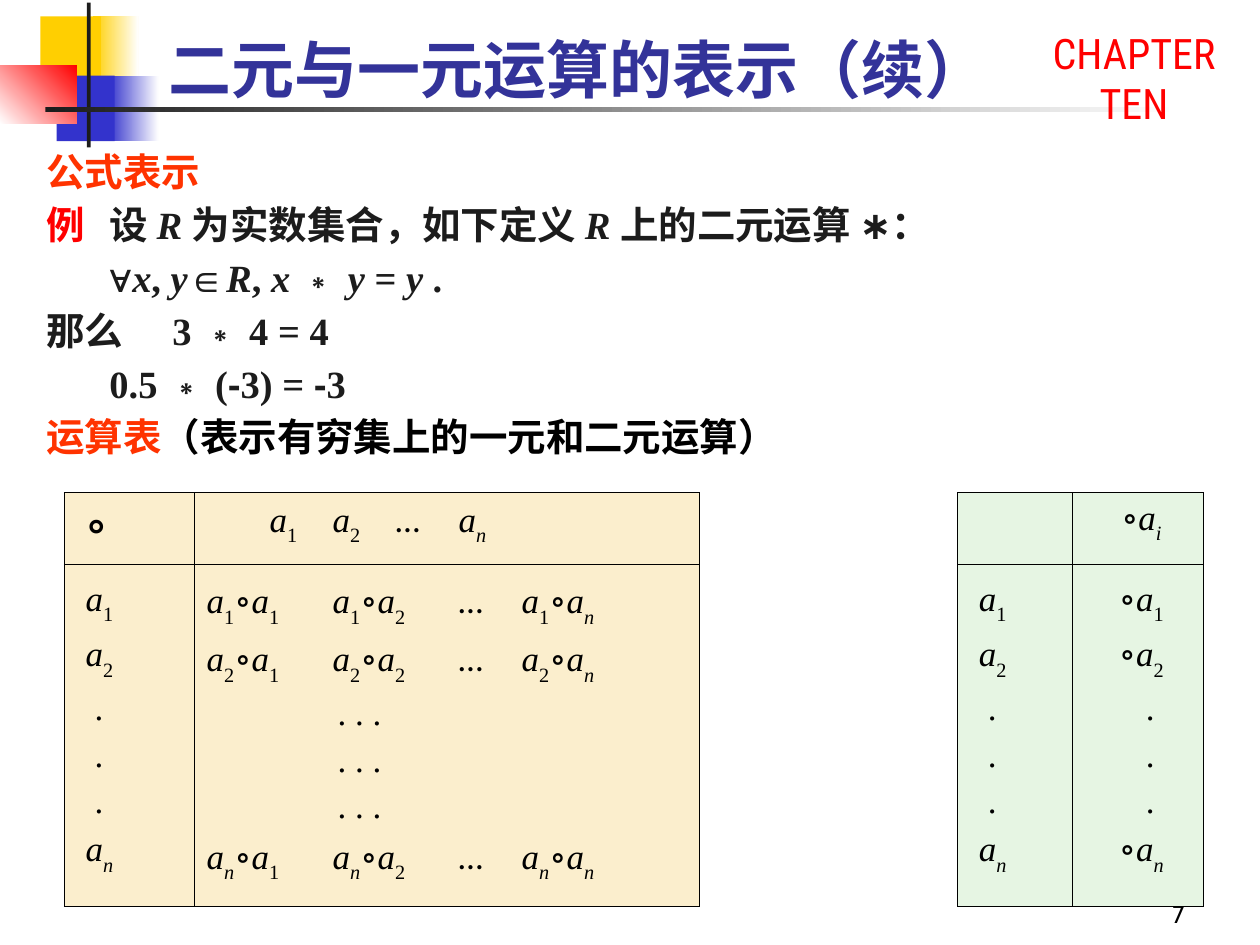
from itertools import groupby

from lxml.etree import SubElement as Sub
from pptx import Presentation
from pptx.dml.color import RGBColor as RGB
from pptx.enum.shapes import MSO_SHAPE as Kind
from pptx.enum.text import MSO_ANCHOR as Anchor, PP_ALIGN as Align
from pptx.oxml.ns import qn
from pptx.util import Inches, Pt

SERIF = "Times New Roman"
INK, BLACK, RED, ORANGE = "1C1C1C", "000000", "FF0000", "FF3300"
GOLD, BLUE, WHITE = "FFCF01", "3333CC", "FFFFFF"
CREAM, MINT = "FBEECD", "E6F5E3"


def color(code):
    return RGB.from_string(code)


def split(text, fonts):
    """Yield runs of a formula: letters slant, marks after an a sink."""
    def style(pair):
        last, char = pair
        slant = char.isascii() and char.isalpha()
        sunk = last == "a" and char.isalnum()
        return slant, sunk, fonts.get(char, SERIF)

    for key, group in groupby(zip(" " + text, text), style):
        yield "".join(char for _, char in group), key


def write(frame, parts, first=False, size=20, font=SERIF, bold=False,
          align=Align.LEFT, space=1, tabs=(), indent=0, fonts=None):
    """Add a paragraph of (text, colour) parts; fonts marks a formula."""
    para = frame.paragraphs[0] if first else frame.add_paragraph()
    para.alignment, para.line_spacing = align, space
    props = para._p.get_or_add_pPr()
    props.set("marL", str(Inches(indent)))
    props.set("indent", "0")
    if tabs:
        stops = Sub(props, qn("a:tabLst"))
        for pos in tabs:
            Sub(stops, qn("a:tab"), pos=str(Inches(pos)), algn="l")
    for text, code in parts:
        plain = [(text, (False, False, font))]
        for piece, (slant, sunk, face) in (
                plain if fonts is None else split(text, fonts)):
            run = para.add_run()
            run.text = piece
            run.font.size, run.font.name = Pt(size), face
            run.font.bold, run.font.italic = bold, slant
            run.font.color.rgb = color(code)
            if sunk:
                run.font._element.set("baseline", "-30000")


def add_box(slide, box, anchor=Anchor.TOP):
    frame = slide.shapes.add_textbox(*map(Inches, box)).text_frame
    frame.word_wrap, frame.vertical_anchor = True, anchor
    return frame


def add_bar(slide, box, start, end=None, angle=0):
    bar = slide.shapes.add_shape(Kind.RECTANGLE, *map(Inches, box))
    bar.shadow.inherit = False
    bar.line.fill.background()
    if end is None:
        bar.fill.solid()
        bar.fill.fore_color.rgb = color(start)
        return
    bar.fill.gradient()
    bar.fill.gradient_angle = angle
    for stop, code, pos in zip(bar.fill.gradient_stops, (start, end), (0, 1)):
        stop.color.rgb, stop.position = color(code), pos


def add_decor(slide, x, y):
    """Coloured squares with the crossing rules."""
    for left, top, wide, high, *paint in (
            (0.74, 0.11, 0.36, 0.52, GOLD, WHITE),
            (0.86, 0.58, 0.4, 0.52, BLUE, WHITE),
            (0.32, 0.11, 0.48, 0.52, GOLD),
            (0.45, 0.58, 0.46, 0.52, BLUE),
            (0, 0.5, 0.61, 0.46, WHITE, RED, 45),
            (0.69, 0, 0.03, 1.15, INK),
            (0.36, 0.83, 9, 0.04, INK, WHITE)):
        add_bar(slide, (x + left, y + top, wide, high), *paint)


def add_body(slide, box):
    """Formula notation with its example."""
    frame = add_box(slide, box)
    lines = (
        ([("公式表示", ORANGE)], ()),
        ([("例", RED), ("\t设 R 为实数集合，如下定义 R 上的二元运算 ∗：", INK)], [0.59]),
        ([("\t∀x, y∈R, x ∗ y = y .", INK)], [1.15]),
        ([("那么\t3 ∗ 4 = 4", INK)], [1.24]),
        ([("\t0.5 ∗ (-3) = -3", INK)], [1.22]),
        ([("运算表", ORANGE), ("（表示有穷集上的一元和二元运算）", BLACK)], ()))
    for num, (parts, tabs) in enumerate(lines):
        write(frame, parts, num == 0, size=22, bold=True, space=1.15,
              tabs=tabs, fonts={"∀": "Arial", "-": "Arial"})


def edge(cell, sides, shown):
    props = cell._tc.get_or_add_tcPr()
    for num, side in enumerate(sides):
        line = props.makeelement(qn("a:ln" + side), {"w": str(Pt(0.45))})
        props.insert(num, line)
        if side in shown:
            fill = Sub(line, qn("a:solidFill"))
            Sub(fill, qn("a:srgbClr"), val=BLACK)
        else:
            Sub(line, qn("a:noFill"))


def fill_cell(cell, lines, **style):
    for num, (text, extra) in enumerate(lines):
        write(cell.text_frame, [(text, BLACK)], num == 0,
              fonts={"…": "Calibri"}, **{**style, **extra})


def add_tables(slide, box):
    """Binary and unary operation tables, with a clear gap between."""
    cols, rows = (1.03, 4.01, 2.05, 0.91, 1.04), (0.57, 2.71)
    frame = slide.shapes.add_table(2, 5, *map(Inches, box))
    grid = frame.table
    grid.first_row = grid.horz_banding = False
    for col, wide in zip(grid.columns, cols):
        col.width = Inches(wide)
    for row, high in zip(grid.rows, rows):
        row.height = Inches(high)
    for row in range(2):
        for col, paint in enumerate((CREAM, CREAM, None, MINT, MINT)):
            cell = grid.cell(row, col)
            if paint:
                cell.fill.solid()
                cell.fill.fore_color.rgb = color(paint)
            else:
                cell.fill.background()
            edge(cell, "LRTB", "LRTB" if paint else "LR")
    grid.cell(0, 2).merge(grid.cell(1, 2))

    # Heads
    fill_cell(grid.cell(0, 0), [("∘", {})], size=28, indent=0.06)
    fill_cell(grid.cell(0, 1), [("\ta1\ta2\t…\tan", {})],
              tabs=(0.14, 1.06, 1.83, 2.59))
    fill_cell(grid.cell(0, 4), [("∘ai", {})], align=Align.CENTER, indent=0.06)

    # Bodies: first, second and last rows around three rows of dots
    def fill_rows(col, form, dots, shift, indent=0, **style):
        dot = (dots, {"indent": shift})
        ends = [(form.replace("k", mark), {"indent": indent}) for mark in "12n"]
        fill_cell(grid.cell(1, col), ends[:2] + [dot] * 3 + ends[2:],
                  space=1.2, **style)

    for col in (0, 3):
        fill_rows(col, "ak", ".", 0.14, 0.07)
    fill_rows(1, "ak∘a1\tak∘a2\t…\tak∘an", ". . .", 1.04,
              tabs=(0.93, 1.78, 2.33))
    fill_rows(4, "∘ak", ".", 0.2, 0.06, align=Align.CENTER)


def main():
    deck = Presentation()
    deck.slide_width, deck.slide_height = Inches(10), Inches(7.5)
    slide = deck.slides.add_slide(deck.slide_layouts[6])
    add_decor(slide, 0, 0.02)
    # Chapter mark, page number and title
    write(add_box(slide, (8, 0.17, 2, 0.9)), [("CHAPTER TEN", RED)], True,
          size=24, font="Roboto Condensed", align=Align.CENTER)
    write(add_box(slide, (7.42, 6.92, 2.08, 0.5), Anchor.BOTTOM),
          [("7", BLACK)], True, size=14, font="Cabin", align=Align.RIGHT)
    write(add_box(slide, (1.24, 0.17, 8.05, 0.74), Anchor.MIDDLE),
          [("二元与一元运算的表示（续）", "333399")], True, size=36,
          font="Montserrat", bold=True)
    add_body(slide, (0.27, 1.07, 9.45, 2.63))
    add_tables(slide, (0.51, 3.91, 9.04, 3.28))
    deck.save("out.pptx")


if __name__ == "__main__":
    main()
